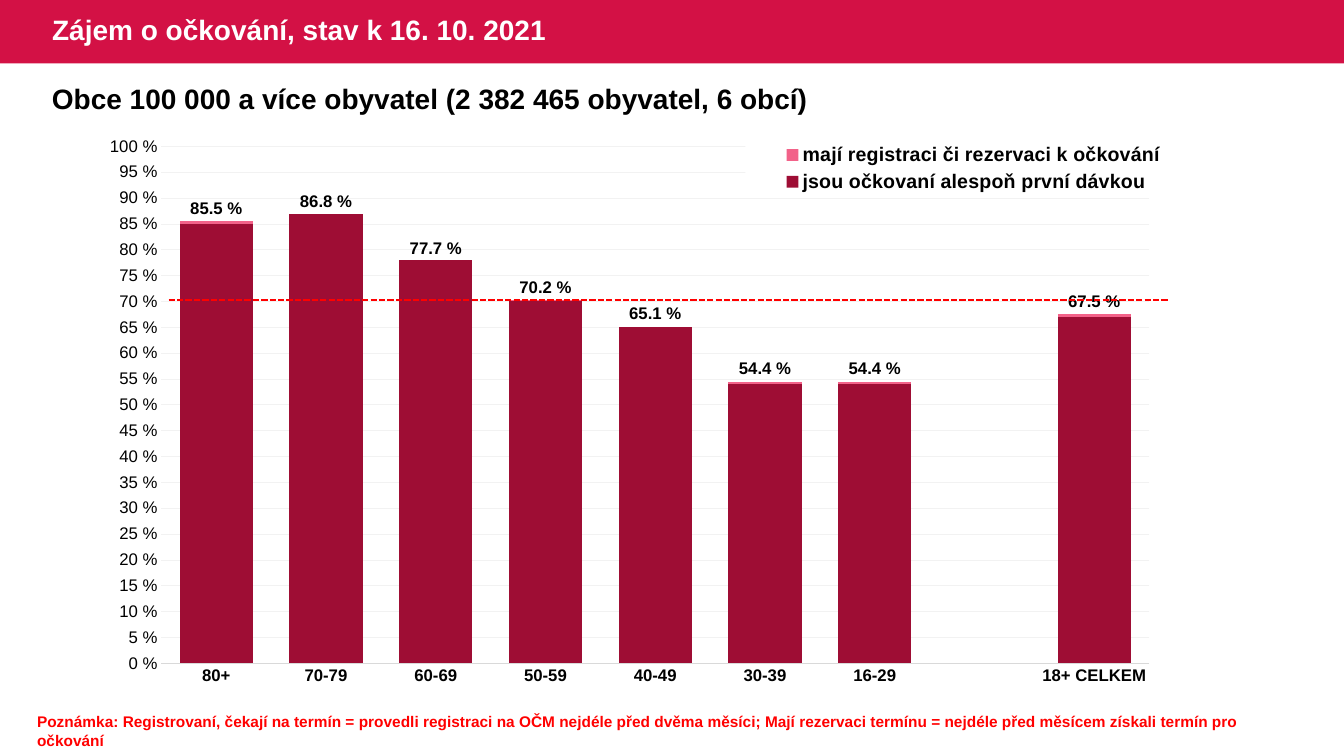
from lxml import etree
from pptx import Presentation
from pptx.chart.data import CategoryChartData as ChartData
from pptx.dml.color import RGBColor as RGB
from pptx.enum.chart import XL_CHART_TYPE as Kind, XL_LABEL_POSITION as Label
from pptx.enum.chart import XL_LEGEND_POSITION as Legend, XL_TICK_MARK as Tick
from pptx.enum.dml import MSO_LINE as Dash
from pptx.enum.shapes import MSO_CONNECTOR as Link, MSO_SHAPE as Shape
from pptx.enum.text import MSO_ANCHOR as Anchor, PP_ALIGN as Align
from pptx.oxml import parse_xml
from pptx.oxml.ns import nsdecls, qn
from pptx.util import Pt

WHITE = RGB(0xFF, 0xFF, 0xFF)
BLACK = RGB(0, 0, 0)
RED = RGB(0xFF, 0, 0)
BAND = RGB(0xD3, 0x11, 0x45)
PINK = RGB(0xF2, 0x62, 0x89)
WINE = RGB(0x9E, 0x0D, 0x34)
GRID = RGB(0xF2, 0xF2, 0xF2)
AXIS = RGB(0xD9, 0xD9, 0xD9)
FACE = "Arial"

AGES = ["80+", "70-79", "60-69", "50-59", "40-49", "30-39", "16-29", "", "18+ CELKEM"]
SERIES = [
    ("mají registraci či rezervaci k očkování", PINK,
     [85.5, 86.8, 77.7, 70.2, 65.1, 54.4, 54.4, None, 67.5]),
    ("jsou očkovaní alespoň první dávkou", WINE,
     [85, 87, 78, 70, 65, 54, 54, None, 67]),
]
NOTE = ("Poznámka: Registrovaní, čekají na termín = provedli registraci na OČM "
        "nejdéle před dvěma měsíci; Mají rezervaci termínu = nejdéle před měsícem "
        "získali termín pro očkování")


def set_font(font, size, color=BLACK, bold=True):
    font.name, font.size, font.bold = FACE, Pt(size), bold
    font.color.rgb = color


def add_band(slide, width, height):
    band = slide.shapes.add_shape(Shape.RECTANGLE, 0, 0, width, height)
    band.shadow.inherit = False
    band.fill.solid()
    band.fill.fore_color.rgb = BAND
    band.line.fill.background()
    slide.shapes.title._element.addprevious(band._element)


def set_title(slide, text, height):
    title = slide.shapes.title
    title.left, title.top, title.width, title.height = Pt(30), 0, Pt(425), height
    frame = title.text_frame
    frame.text = text
    frame.word_wrap = True
    frame.vertical_anchor = Anchor.MIDDLE
    para = frame.paragraphs[0]
    para.alignment = Align.LEFT
    para.line_spacing = 0.9
    set_font(para.runs[0].font, 20, WHITE)


def add_text(slide, text, box, size, color):
    frame = slide.shapes.add_textbox(*map(Pt, box)).text_frame
    frame.word_wrap = True
    frame.text = text
    set_font(frame.paragraphs[0].runs[0].font, size, color)


def make_layout(x, y, w, h, inner=False):
    """Return a manual chart layout, in fractions of the chart's size."""
    target = '<c:layoutTarget val="inner"/>' if inner else ""
    return parse_xml(
        f'<c:layout {nsdecls("c")}><c:manualLayout>{target}'
        '<c:xMode val="edge"/><c:yMode val="edge"/>'
        f'<c:x val="{x}"/><c:y val="{y}"/><c:w val="{w}"/><c:h val="{h}"/>'
        '</c:manualLayout></c:layout>')


def drop_layout(node):
    for old in node.findall(qn("c:layout")):
        node.remove(old)


def style_axes(chart):
    ages, share = chart.category_axis, chart.value_axis
    for axis in (ages, share):
        axis.major_tick_mark = axis.minor_tick_mark = Tick.NONE
        set_font(axis.tick_labels.font, 12, bold=axis is ages)
    ages.format.line.color.rgb = AXIS
    ages.format.line.width = Pt(0.75)
    share.format.line.fill.background()
    share.minimum_scale, share.maximum_scale, share.major_unit = 0, 100, 5
    share.tick_labels.number_format = '0" %"'
    share.tick_labels.number_format_is_linked = False
    grid = share.major_gridlines.format.line
    grid.color.rgb = GRID
    grid.width = Pt(0.5)


def style_legend(chart):
    chart.has_legend = True
    legend = chart.legend
    legend.position = Legend.TOP
    legend.include_in_layout = False
    set_font(legend.font, 14)
    node = legend._element
    drop_layout(node)
    node.find(qn("c:legendPos")).addnext(make_layout(0.57, 0.02, 0.41, 0.1))
    node.find(qn("c:overlay")).addnext(parse_xml(
        f'<c:spPr {nsdecls("c", "a")}><a:solidFill><a:srgbClr val="{WHITE}"/>'
        '</a:solidFill></c:spPr>'))


def add_chart(slide, box):
    data = ChartData()
    data.categories = AGES
    for name, _, vals in SERIES:
        data.add_series(name, vals)
    chart = slide.shapes.add_chart(Kind.COLUMN_CLUSTERED, *map(Pt, box), data).chart
    chart.has_title = False
    set_font(chart.font, 10, bold=False)
    plot = chart.plots[0]
    plot.gap_width, plot.overlap = 50, 100
    plot.vary_by_categories = False
    for series, (_, color, _) in zip(plot.series, SERIES):
        series.format.fill.solid()
        series.format.fill.fore_color.rgb = color
    labels = plot.series[0].data_labels
    labels.show_value = True
    labels.number_format = '0.0" %"'
    labels.number_format_is_linked = False
    labels.position = Label.OUTSIDE_END
    set_font(labels.font, 12)
    style_axes(chart)
    style_legend(chart)
    area = chart._chartSpace.find(".//" + qn("c:plotArea"))
    drop_layout(area)
    area.insert(0, make_layout(0.045, 0.032, 0.888, 0.895, inner=True))


def add_limit(slide, left, right, y):
    limit = slide.shapes.add_connector(Link.STRAIGHT, Pt(left), Pt(y), Pt(right), Pt(y))
    limit.line.color.rgb = RED
    limit.line.width = Pt(1.5)
    limit.line.dash_style = Dash.SQUARE_DOT
    etree.SubElement(limit._element.spPr, qn("a:effectLst"))


def main():
    deck = Presentation()
    deck.slide_width, deck.slide_height = Pt(960), Pt(540)
    slide = deck.slides.add_slide(deck.slide_layouts[5])
    head = Pt(45.2)
    add_band(slide, deck.slide_width, head)
    set_title(slide, "Zájem o očkování, stav k 16. 10. 2021", head)
    add_text(slide, "Obce 100 000 a více obyvatel (2 382 465 obyvatel, 6 obcí)",
             (30, 54.7, 892, 31.5), 20, BLACK)
    add_chart(slide, (78.5, 91.4, 795.6, 412.6))
    add_limit(slide, 120.5, 834.5, 214.5)
    add_text(slide, NOTE, (19.4, 505.4, 922.3, 20.9), 11, RED)
    deck.save("out.pptx")


if __name__ == "__main__":
    main()
